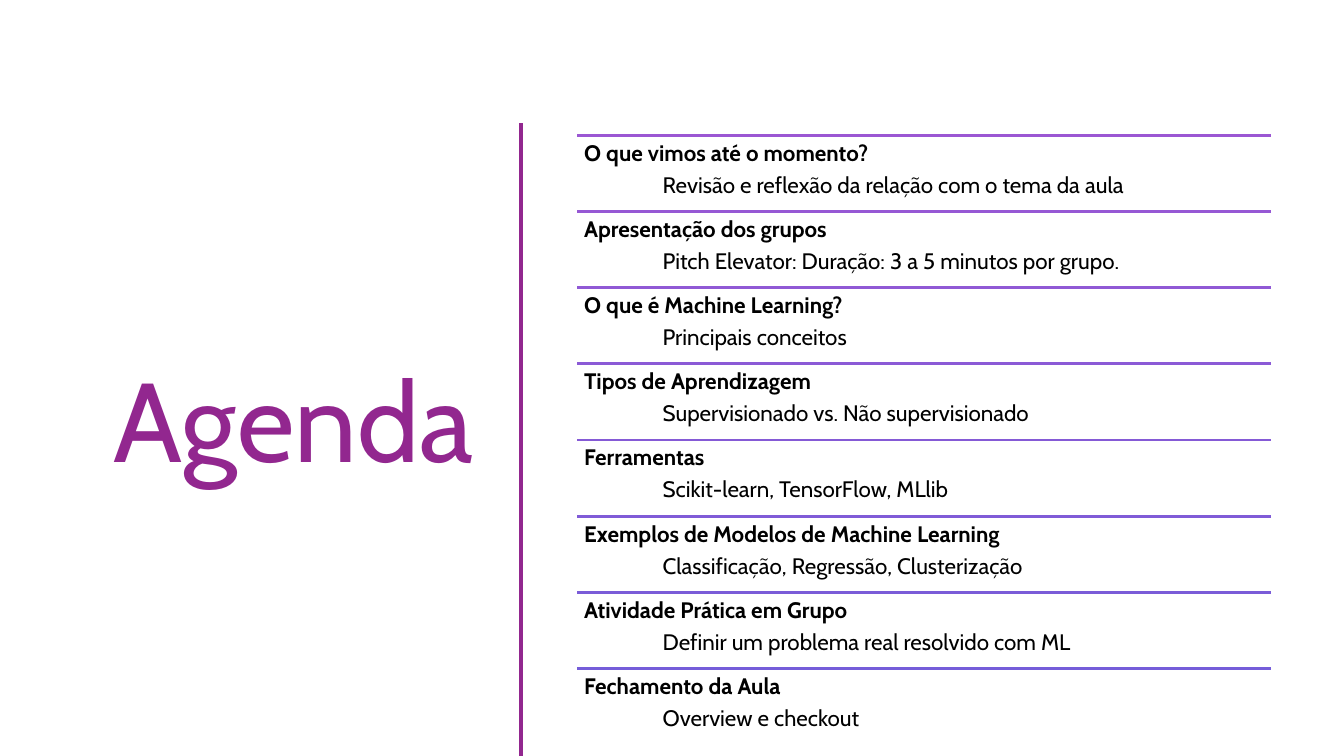
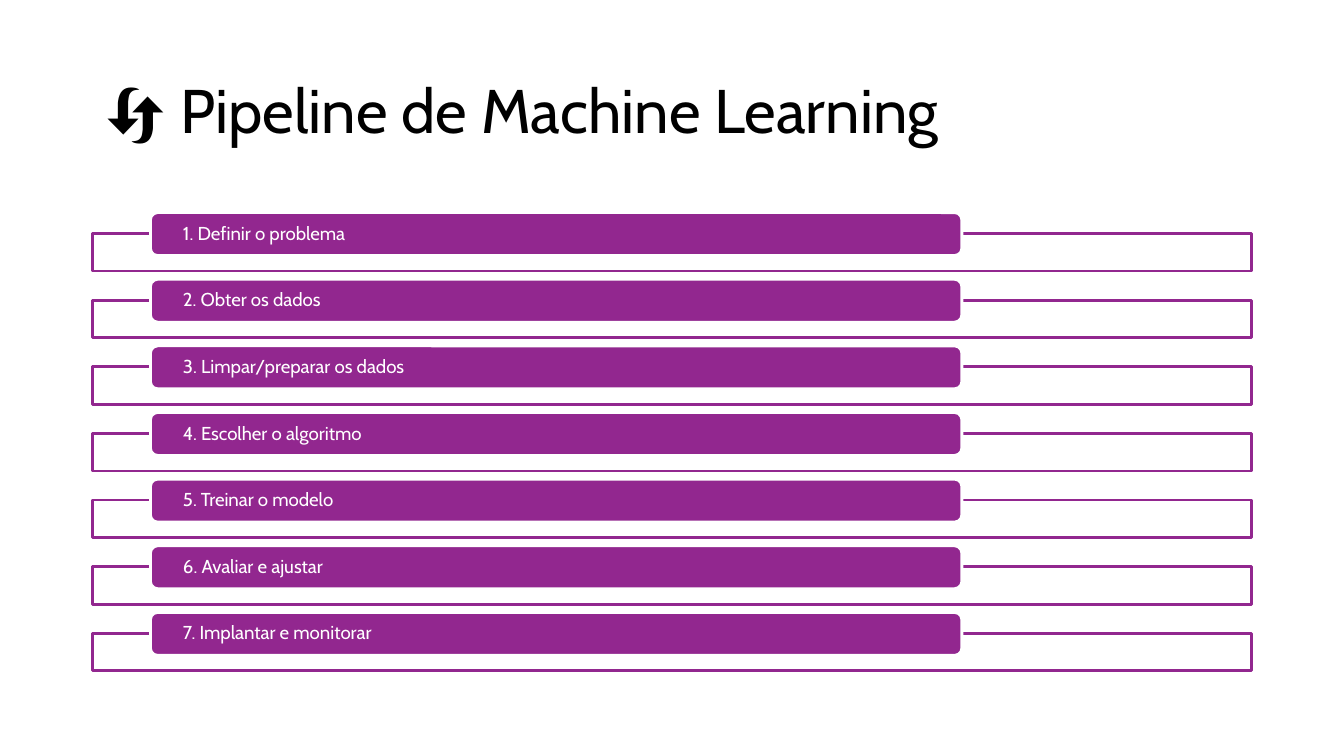
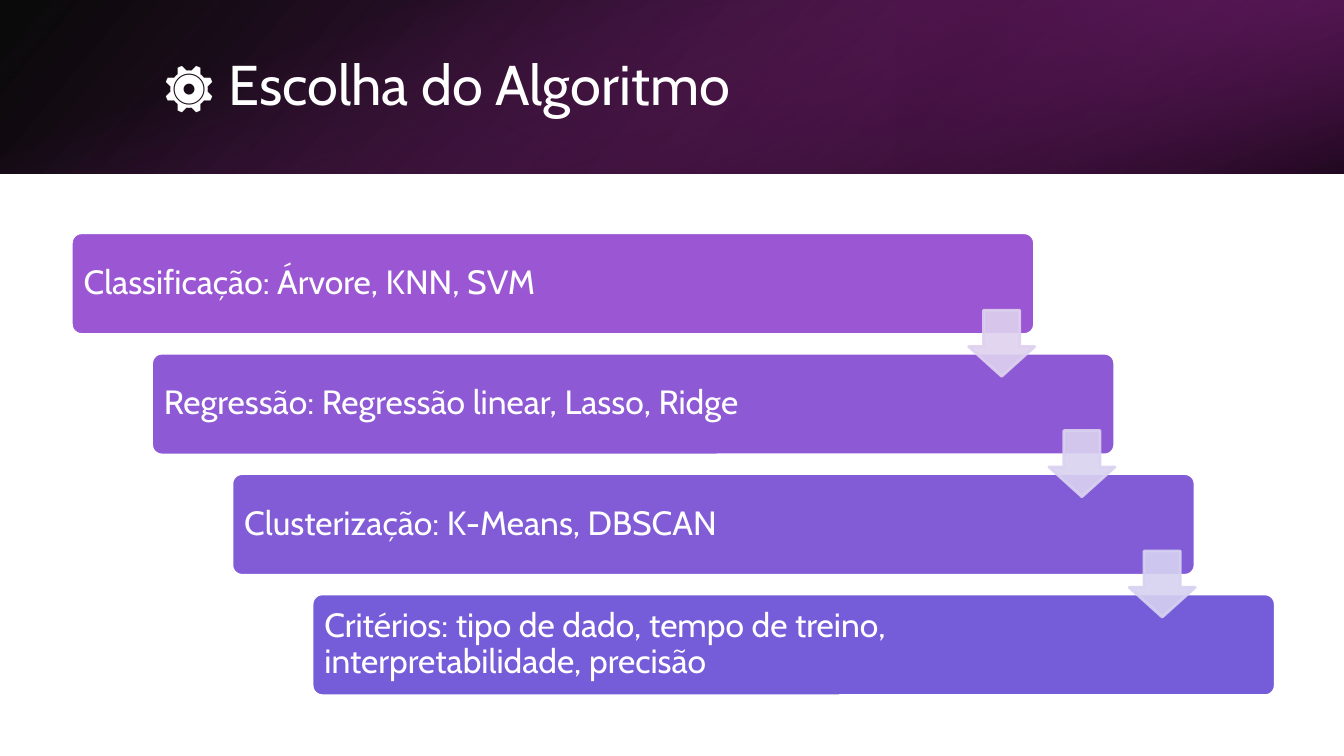
import pptx
import pptx.util
import pptx.dml.color
import pptx.enum.shapes
import pptx.enum.text
import pptx.oxml
import pptx.oxml.ns

Pt = pptx.util.Pt
SHAPE = pptx.enum.shapes.MSO_SHAPE
ALIGN = pptx.enum.text.PP_ALIGN
MIDDLE = pptx.enum.text.MSO_ANCHOR.MIDDLE
TOP = pptx.enum.text.MSO_ANCHOR.TOP
qn = pptx.oxml.ns.qn

# Content
AGENDA = [
    ("O que vimos até o momento?", "Revisão e reflexão da relação com o tema da aula"),
    ("Apresentação dos grupos", "Pitch Elevator: Duração: 3 a 5 minutos por grupo."),
    ("O que é Machine Learning?", "Principais conceitos"),
    ("Tipos de Aprendizagem", "Supervisionado vs. Não supervisionado"),
    ("Ferramentas", "Scikit-learn, TensorFlow, MLlib"),
    ("Exemplos de Modelos de Machine Learning", "Classificação, Regressão, Clusterização"),
    ("Atividade Prática em Grupo", "Definir um problema real resolvido com ML"),
    ("Fechamento da Aula", "Overview e checkout"),
]
PIPELINE = [
    "Definir o problema",
    "Obter os dados",
    "Limpar/preparar os dados",
    "Escolher o algoritmo",
    "Treinar o modelo",
    "Avaliar e ajustar",
    "Implantar e monitorar",
]
ALGORITHMS = [
    "Classificação: Árvore, KNN, SVM",
    "Regressão: Regressão linear, Lasso, Ridge",
    "Clusterização: K-Means, DBSCAN",
    "Critérios: tipo de dado, tempo de treino, interpretabilidade, precisão",
]

# Header layers: frame, rotation, mirrored, angle, (position, colour, opacity) stops
HEADER = [
    ((0, 0, 720, 93), 0, True, 140, [(0, "black", 96), (100, "deep", 100)]),
    ((480, 0, 240, 93), 180, True, 320, [(19, "plum", 68), (100, "purple", 79)]),
    ((313.5, -313.5, 93, 720), 90, False, 340, [(23, "purple", 0), (99, "black", 74)]),
]

# Shared style
FONT = "Cabin"
COLORS = {
    "white": "FFFFFF", "black": "000000", "purple": "92278F",
    "deep": "6D1D6B", "plum": "491447",
    "violet": "9B57D3", "indigo": "755DD9",
    "pale violet": "DED1EF", "pale indigo": "D6D2F1",
}


def rgb(name):
    return pptx.dml.color.RGBColor.from_string(COLORS[name])


def blend(start, end, index, count):
    """Colour number index of count even steps from start to end."""
    share = index / (count - 1)
    return pptx.dml.color.RGBColor(
        *(round(a + (b - a) * share) for a, b in zip(rgb(start), rgb(end))))


def set_opacity(element, percent):
    for color in element.iter(qn("a:srgbClr")):
        alpha = pptx.oxml.parse_xml(
            f'<a:alpha {pptx.oxml.ns.nsdecls("a")} val="{percent * 1000}"/>')
        color.append(alpha)


def format_text(box, size, color, inset=(7.2, 3.6), anchor=MIDDLE, align=ALIGN.LEFT):
    frame = box.text_frame
    frame.word_wrap = True
    frame.auto_size = pptx.enum.text.MSO_AUTO_SIZE.NONE
    frame.vertical_anchor = anchor
    frame.margin_left = frame.margin_right = Pt(inset[0])
    frame.margin_top = frame.margin_bottom = Pt(inset[1])
    for para in frame.paragraphs:
        para.alignment = align
        para.line_spacing = 0.9
        for span in para.runs:
            span.font.name = FONT
            span.font.size = Pt(size)
            span.font.color.rgb = rgb(color)


def add_page(deck, title, frame, size, color, align=ALIGN.LEFT):
    page = deck.slides.add_slide(deck.slide_layouts[5])
    box = page.shapes.title
    box.left, box.top, box.width, box.height = map(Pt, frame)
    box.text_frame.text = title
    format_text(box, size, color, align=align)
    return page


def add_label(page, text, frame, size, color, **layout):
    box = page.shapes.add_textbox(*map(Pt, frame))
    box.text_frame.text = text
    format_text(box, size, color, **layout)
    return box


def add_block(page, kind, frame, fill, line, adjustments=()):
    block = page.shapes.add_shape(kind, *map(Pt, frame))
    block.shadow.inherit = False
    block.fill.solid()
    block.fill.fore_color.rgb = fill
    block.line.color.rgb = line
    block.line.width = Pt(1.5)
    for index, value in enumerate(adjustments):
        block.adjustments[index] = value
    return block


def add_rule(page, start, end, color, width):
    rule = page.shapes.add_connector(
        pptx.enum.shapes.MSO_CONNECTOR.STRAIGHT, *map(Pt, start + end))
    rule.line.color.rgb = color
    rule.line.width = Pt(width)
    rule._element.spPr.append(pptx.oxml.parse_xml(
        f'<a:effectLst {pptx.oxml.ns.nsdecls("a")}/>'))


def add_gradient(page, frame, rotation, mirrored, angle, stops):
    layer = page.shapes.add_shape(SHAPE.RECTANGLE, *map(Pt, frame))
    layer.shadow.inherit = False
    layer.rotation = rotation
    layer.line.fill.background()
    layer.fill.gradient()
    layer.fill.gradient_angle = 360 - angle
    if mirrored:
        layer._element.spPr.find(qn("a:xfrm")).set("flipH", "1")
    for stop, (position, color, _) in zip(layer.fill.gradient_stops, stops):
        stop.position = position / 100
        stop.color.rgb = rgb(color)
    for element, (_, _, opacity) in zip(layer._element.spPr.iter(qn("a:gs")), stops):
        set_opacity(element, opacity)


def build_agenda(deck):
    page = add_page(deck, "Agenda", (28, 63.4, 232.6, 329.8), 60, "purple", ALIGN.RIGHT)
    add_rule(page, (279.2, 66), (279.2, 405), rgb("purple"), 2)
    left, top, width, pitch = 309.4, 72.5, 371.5, 40.8
    for index, (topic, detail) in enumerate(AGENDA):
        y = top + index * pitch
        color = blend("violet", "indigo", index, len(AGENDA))
        add_rule(page, (left, y), (left + width, y), color, 1.5)
        box = add_label(page, f"{topic}\n\t{detail}", (left, y, width, pitch),
                        12, "black", inset=(3.6, 3.6), anchor=TOP)
        heading, body = box.text_frame.paragraphs
        heading.space_after = Pt(4.2)
        heading.runs[0].font.bold = True
        body._p.get_or_add_pPr().append(pptx.oxml.parse_xml(
            f'<a:tabLst {pptx.oxml.ns.nsdecls("a")}>'
            f'<a:tab pos="{Pt(42)}" algn="l"/></a:tabLst>'))


def build_pipeline(deck):
    page = add_page(deck, "🔄 Pipeline de Machine Learning",
                    (49.5, 21.6, 621, 78.3), 33, "black")
    for index, step in enumerate(PIPELINE):
        y = 113.9 + index * 35.7
        frame = add_block(page, SHAPE.RECTANGLE, (49.5, y + 11.2, 621, 20.1),
                          rgb("white"), rgb("purple"))
        set_opacity(frame._element.spPr.find(qn("a:solidFill")), 90)
        add_block(page, SHAPE.ROUNDED_RECTANGLE, (80.6, y, 434.7, 23),
                  rgb("purple"), rgb("white"), [0.17])
        add_label(page, f"{index + 1}. {step}", (81.6, y + 1, 432.7, 21),
                  10, "white", inset=(16.4, 0))


def build_algorithms(deck):
    page = add_page(deck, "⚙️ Escolha do Algoritmo", (80.6, 20.9, 593.3, 51.8), 30, "white")
    for layer in HEADER:
        add_gradient(page, *layer)
    # The title stays in front of the header layers
    page.shapes._spTree.append(page.shapes.title._element)

    left, top, indent, pitch = 38.2, 124.7, 43, 64.5
    for index, text in enumerate(ALGORITHMS):
        x, y = left + index * indent, top + index * pitch
        add_block(page, SHAPE.ROUNDED_RECTANGLE, (x, y, 516, 54.5),
                  blend("violet", "indigo", index, len(ALGORITHMS)), rgb("white"), [0.1])
        add_label(page, text, (x + 1.6, y + 1.6, 434, 51.3), 18, "white", inset=(5, 5))

    arrows = len(ALGORITHMS) - 1
    for index in range(arrows):
        color = blend("pale violet", "pale indigo", index, arrows)
        arrow = add_block(page, SHAPE.DOWN_ARROW,
                          (left + 480.7 + index * indent, top + 41.5 + index * pitch, 35.4, 35.4),
                          color, color, [0.55, 0.45])
        set_opacity(arrow._element.spPr, 90)


def main():
    deck = pptx.Presentation()
    deck.slide_width, deck.slide_height = Pt(720), Pt(405)
    build_agenda(deck)
    build_pipeline(deck)
    build_algorithms(deck)
    deck.save("out.pptx")


if __name__ == "__main__":
    main()
